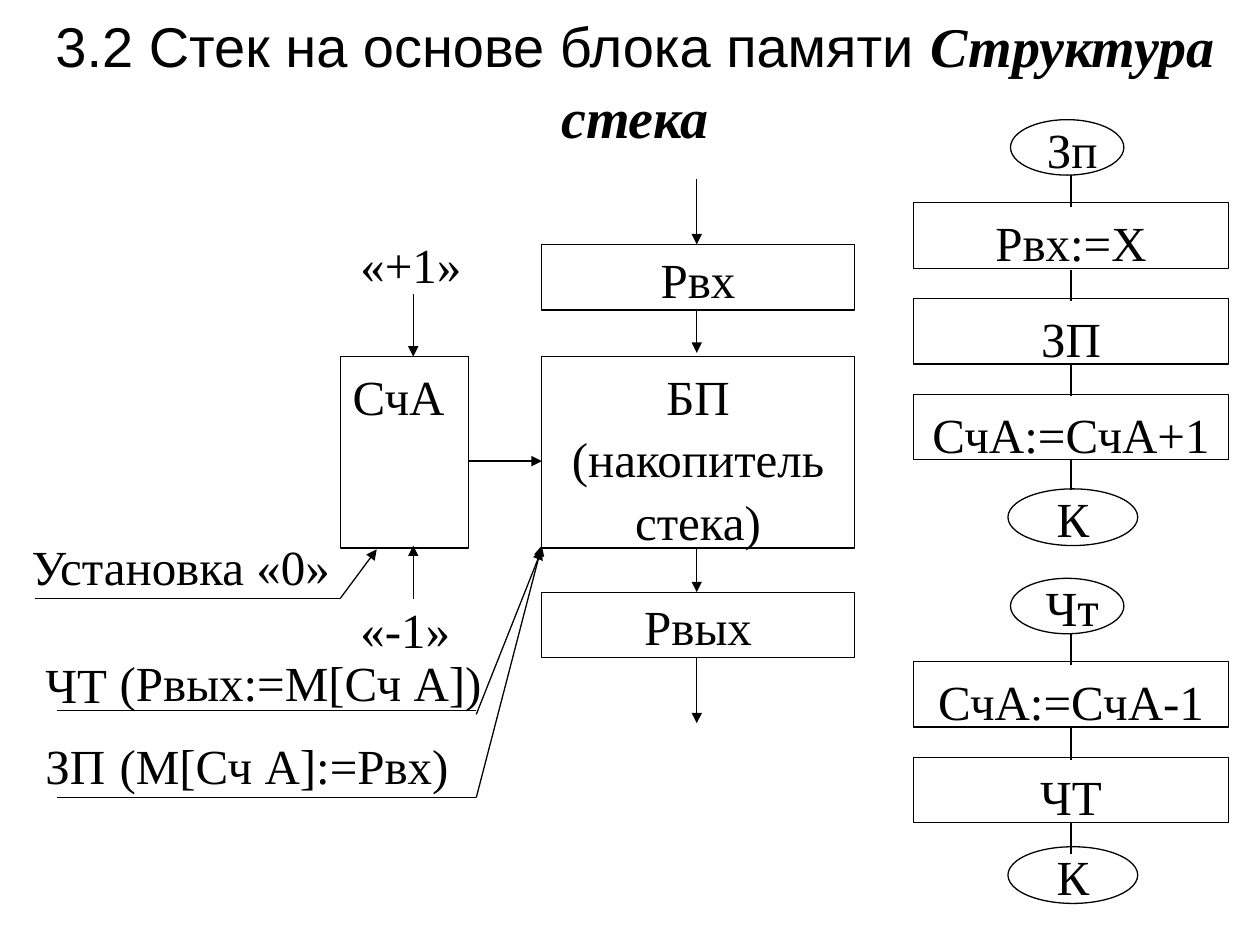
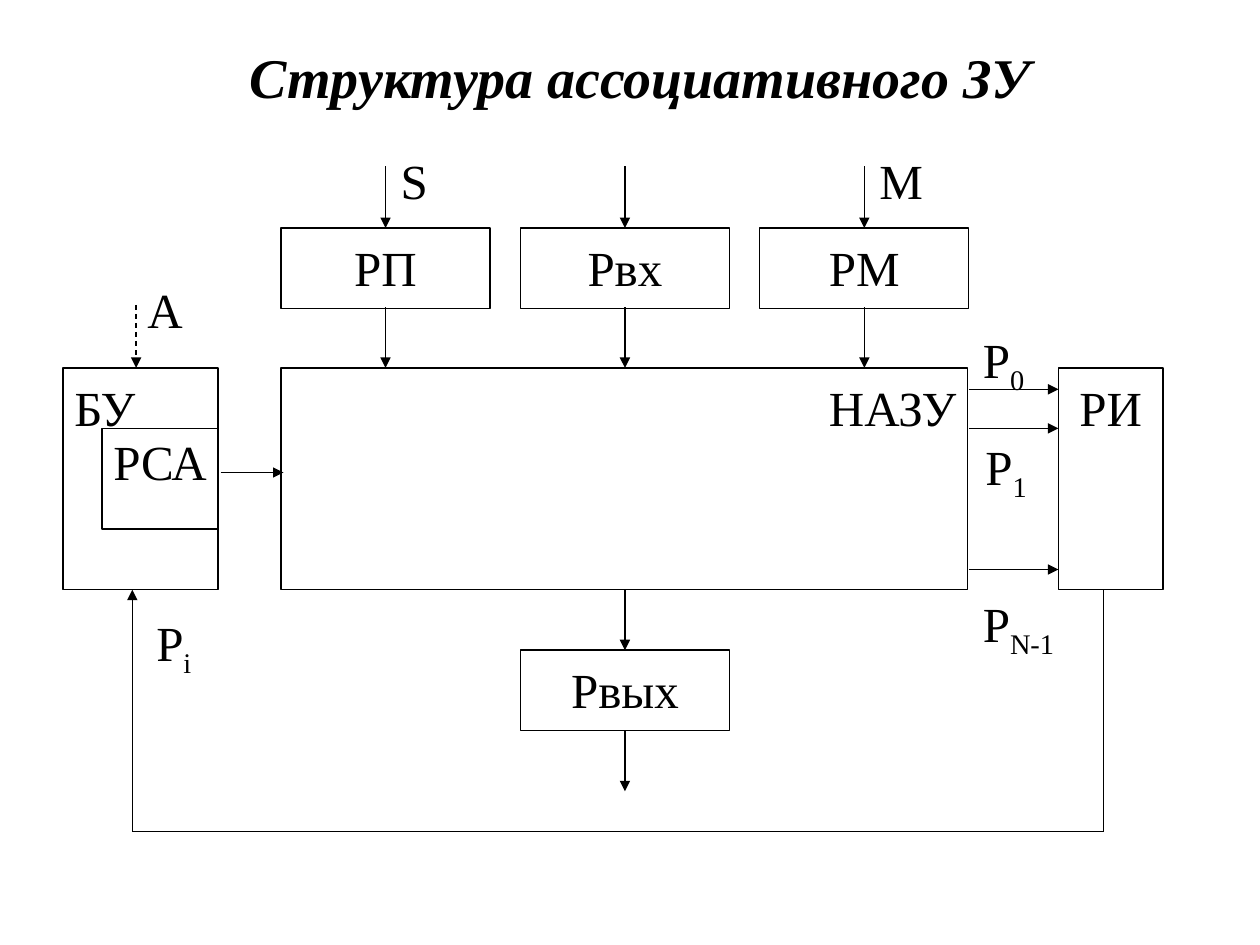
"""Build two slides of memory diagrams: a stack and an associative store."""
import pptx
import pptx.util
import pptx.dml.color
import pptx.enum.dml
import pptx.enum.shapes
import pptx.enum.text
import pptx.oxml.ns
import lxml.etree

COLORS = {"ink": "000000", "paper": "FFFFFF"}
SERIF, SANS = "Times New Roman", "Arial"
BODY, HEAD = 28, 32
LEAD = 1.06
WIDE, HIGH = 10, 7.5
ALIGN = pptx.enum.text.PP_ALIGN
SHAPE = pptx.enum.shapes.MSO_SHAPE
inch = pptx.util.Inches


def color(name):
    return pptx.dml.color.RGBColor.from_string(COLORS[name])


def style(font, size=BODY, face=SERIF, slant=False):
    font.size = pptx.util.Pt(size)
    font.name = face
    font.bold = font.italic = slant
    font.color.rgb = color("ink")


def setup(frame, pad):
    frame.word_wrap = True
    frame.margin_left = frame.margin_right = inch(pad[0])
    frame.margin_top = frame.margin_bottom = inch(pad[1])
    frame.vertical_anchor = pptx.enum.text.MSO_ANCHOR.TOP


def write(frame, text, align, pad):
    setup(frame, pad)
    for i, line in enumerate(text.split("\n")):
        para = frame.add_paragraph() if i else frame.paragraphs[0]
        para.text = line
        para.alignment = align
        para.line_spacing = LEAD
        style(para.font)


def title(slide, area, *parts):
    frame = slide.shapes.add_textbox(*map(inch, area)).text_frame
    setup(frame, (0.1, 0.05))
    frame.vertical_anchor = pptx.enum.text.MSO_ANCHOR.MIDDLE
    para = frame.paragraphs[0]
    para.alignment = ALIGN.CENTER
    para.line_spacing = LEAD
    for text, face, slant in parts:
        run = para.add_run()
        run.text = text
        style(run.font, HEAD, face, slant)


def outline(slide, kind, area, fill=False):
    shape = slide.shapes.add_shape(kind, *map(inch, area))
    shape.shadow.inherit = False
    if fill:
        shape.fill.solid()
        shape.fill.fore_color.rgb = color("paper")
    else:
        shape.fill.background()
    shape.line.color.rgb = color("ink")
    shape.line.width = pptx.util.Pt(0.75)
    return shape


def box(slide, area, text, align=ALIGN.CENTER, pad=(0.09, 0.05), fill=True):
    shape = outline(slide, SHAPE.RECTANGLE, area, fill)
    write(shape.text_frame, text, align, pad)


def label(slide, area, text, align=ALIGN.LEFT, pad=(0, 0), sub=""):
    frame = slide.shapes.add_textbox(*map(inch, area)).text_frame
    write(frame, text, align, pad)
    if sub:
        run = frame.paragraphs[0].add_run()
        run.text = sub
        run.font._element.set("baseline", "-25000")


def line(slide, start, end, arrow=False, dash=False):
    link = slide.shapes.add_connector(
        pptx.enum.shapes.MSO_CONNECTOR.STRAIGHT, *map(inch, start + end))
    link.line.color.rgb = color("ink")
    link.line.width = pptx.util.Pt(0.75)
    if dash:
        link.line.dash_style = pptx.enum.dml.MSO_LINE.DASH
    qn = pptx.oxml.ns.qn
    if arrow:
        tail = lxml.etree.SubElement(link.line._get_or_add_ln(), qn("a:tailEnd"))
        tail.set("type", "triangle")
    lxml.etree.SubElement(link._element.spPr, qn("a:effectLst"))


def arrow(slide, start, end, dash=False):
    line(slide, start, end, True, dash)


def flow(slide, top, start, steps, last):
    """Draw a flowchart column from its start oval to its end oval."""
    mid = 8.5
    outline(slide, SHAPE.OVAL, (8.02, top, 0.9, 0.44))
    label(slide, (7.69, top - 0.08, 1.64, 0.6), start, ALIGN.CENTER, (0.1, 0.05))
    for i, step in enumerate(steps):
        box(slide, (mid - 1.25, top + 0.66 + 0.76 * i, 2.5, 0.52), step,
            pad=(0.1, 0.05), fill=False)
    outline(slide, SHAPE.OVAL, (8, last, 1.03, 0.45))
    label(slide, (7.83, last - 0.08, 1.37, 0.5), "К", ALIGN.CENTER, (0.1, 0.05))
    for i in range(len(steps) + 1):
        y = top + 0.44 + 0.75 * i
        line(slide, (mid, y), (mid, y + 0.25))


def stack(slide):
    """Draw the stack built on a memory block."""
    title(slide, (0.33, 0, 9.42, 1.25),
          ("3.2 Стек на основе блока памяти ", SANS, False),
          ("Структура стека", SERIF, True))
    left, wide, mid = 4.3, 2.48, 5.53
    box(slide, (left, 2.83, wide, 1.52), "БП\n(накопитель стека)", pad=(0.06, 0.05))
    for y, name in ((4.7, "Рвых"), (1.94, "Рвх")):
        box(slide, (left, y, wide, 0.52), name, pad=(0.1, 0.01))
    box(slide, (2.7, 2.83, 1.02, 1.52), "СчА", ALIGN.LEFT, (0.1, 0.05))
    for y, end in ((1.42, 1.94), (2.46, 2.8), (4.36, 4.7), (5.22, 5.74)):
        arrow(slide, (mid, y), (mid, end))
    arrow(slide, (3.72, 3.66), (left, 3.66))
    for y, end in ((2.33, 2.83), (4.75, 4.33)):
        arrow(slide, (3.28, y), (3.28, end))
    for x, bend, y, foot, tip in (
            (0.28, 2.7, 4.75, 4.75, (2.99, 4.36)),
            (0.45, 3.78, 5.64, 5.67, (left, 4.36)),
            (0.45, 3.78, 6.33, 6.33, (left, 4.33))):
        line(slide, (bend, y), (x, y))
        arrow(slide, (bend, foot), tip)
    for x, y, wide, text in (
            (2.86, 1.83, 0.81, "«+1»"), (2.86, 4.73, 0.72, "«-1»"),
            (0.25, 4.23, 2.45, "Установка «0»"),
            (0.36, 5.17, 0.72, "ЧТ"), (0.95, 5.15, 2.92, "(Рвых:=M[Сч А])"),
            (0.36, 5.81, 0.72, "ЗП"), (0.95, 5.81, 3, "(M[Сч А]:=Рвх)")):
        label(slide, (x, y, wide, 0.52), text)
    flow(slide, 0.95, "Зп", ("Рвх:=Х", "ЗП", "СчА:=СчА+1"), 3.88)
    flow(slide, 4.59, "Чт", ("СчА:=СчА-1", "ЧТ"), 6.72)


def store(slide):
    """Draw the associative store."""
    title(slide, (0.83, 0.25, 8.5, 0.67), ("Структура ассоциативного ЗУ", SERIF, True))
    left, step, wide, high = 2.23, 1.9, 1.66, 0.64
    top, deep = 2.92, 1.76
    base = top + deep
    mids = [left + wide / 2 + step * i for i in range(3)]
    for mid, name in zip(mids, ("РП", "Рвх", "РМ")):
        box(slide, (mid - wide / 2, 1.81, wide, high), name)
    box(slide, (left + step, 5.16, wide, high), "Рвых")
    box(slide, (left, top, 5.45, deep), "НАЗУ", ALIGN.RIGHT)
    box(slide, (8.4, top, 0.83, deep), "РИ")
    box(slide, (0.5, top, 1.23, deep), "БУ", ALIGN.LEFT)
    box(slide, (0.81, 3.4, 0.92, 0.8), "РСА", pad=(0, 0))
    for mid in mids:
        for y, end in ((1.32, 1.81), (2.44, top)):
            arrow(slide, (mid, y), (mid, end))
    for y in (3.09, 3.4, 4.52):
        arrow(slide, (7.69, y), (8.4, y))
    for y, end in ((base, 5.16), (5.8, 6.28)):
        arrow(slide, (mids[1], y), (mids[1], end))
    line(slide, (8.76, base), (8.76, 6.6))
    line(slide, (8.76, 6.6), (1.05, 6.6))
    arrow(slide, (1.05, 6.6), (1.05, base))
    arrow(slide, (1.75, 3.75), (2.25, 3.75))
    arrow(slide, (1.08, 2.42), (1.08, top), dash=True)
    for x, y, wide, text, sub in (
            (1.17, 2.19, 0.59, "А", ""), (3.18, 1.17, 0.59, "S", ""),
            (6.98, 1.17, 0.59, "M", ""), (7.8, 2.58, 0.59, "P", "0"),
            (7.8, 4.68, 0.78, "P", "N-1"), (7.82, 3.43, 0.59, "P", "1"),
            (1.24, 4.83, 0.59, "P", "i")):
        label(slide, (x, y, wide, 0.48), text, sub=sub)


def main():
    deck = pptx.Presentation()
    deck.slide_width, deck.slide_height = inch(WIDE), inch(HIGH)
    for draw in (stack, store):
        draw(deck.slides.add_slide(deck.slide_layouts[6]))
    deck.save("out.pptx")


if __name__ == "__main__":
    main()
